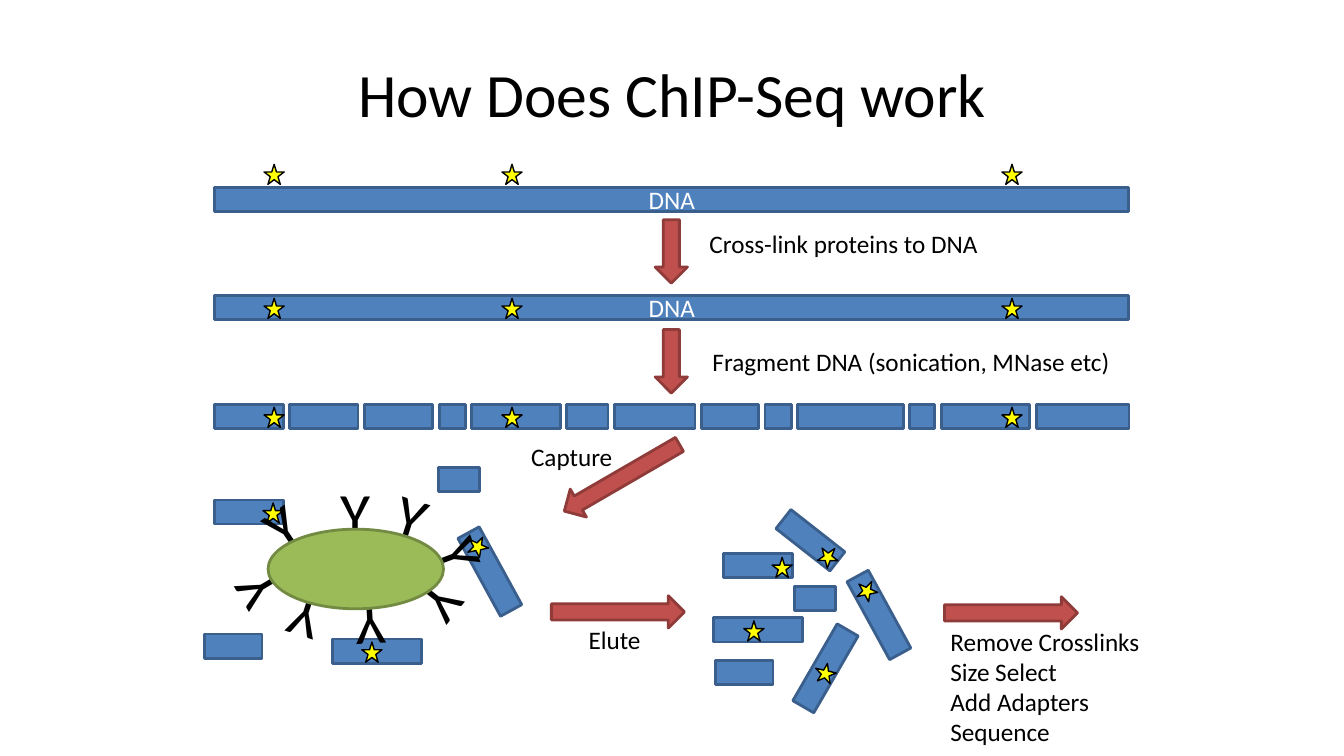
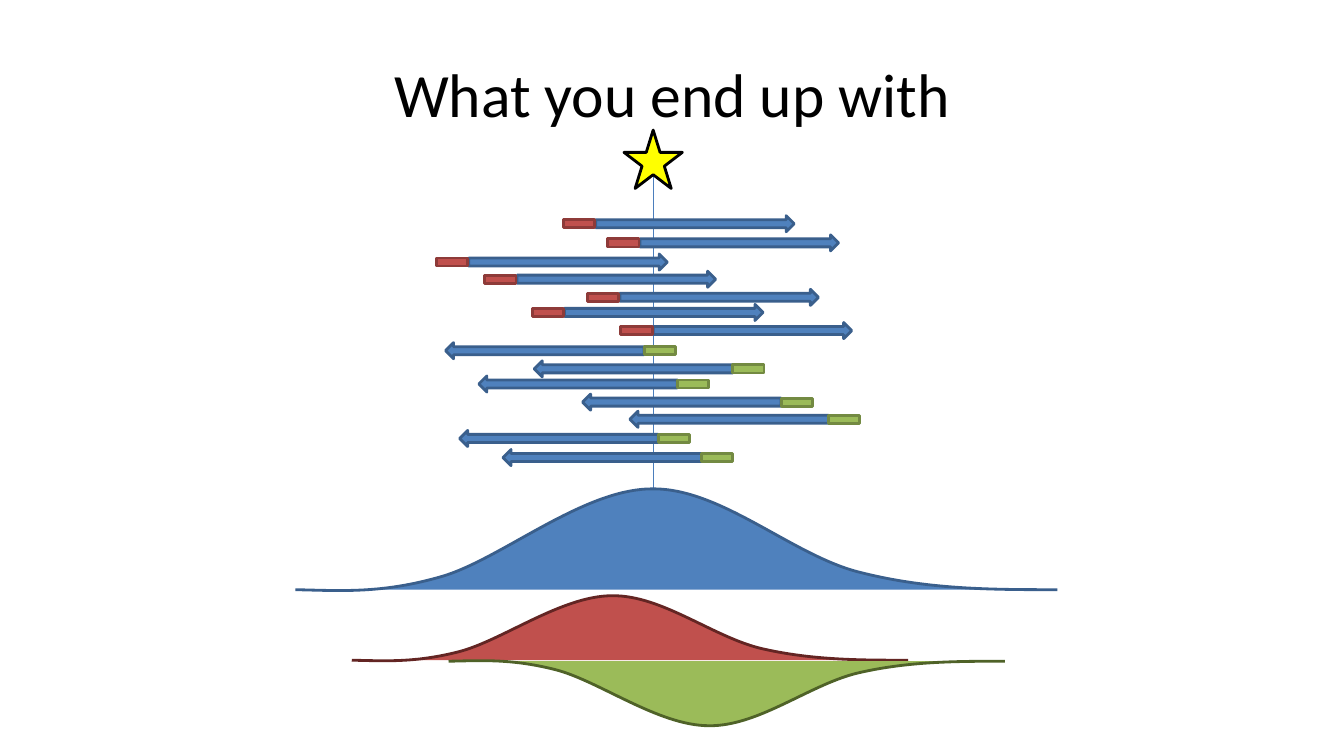
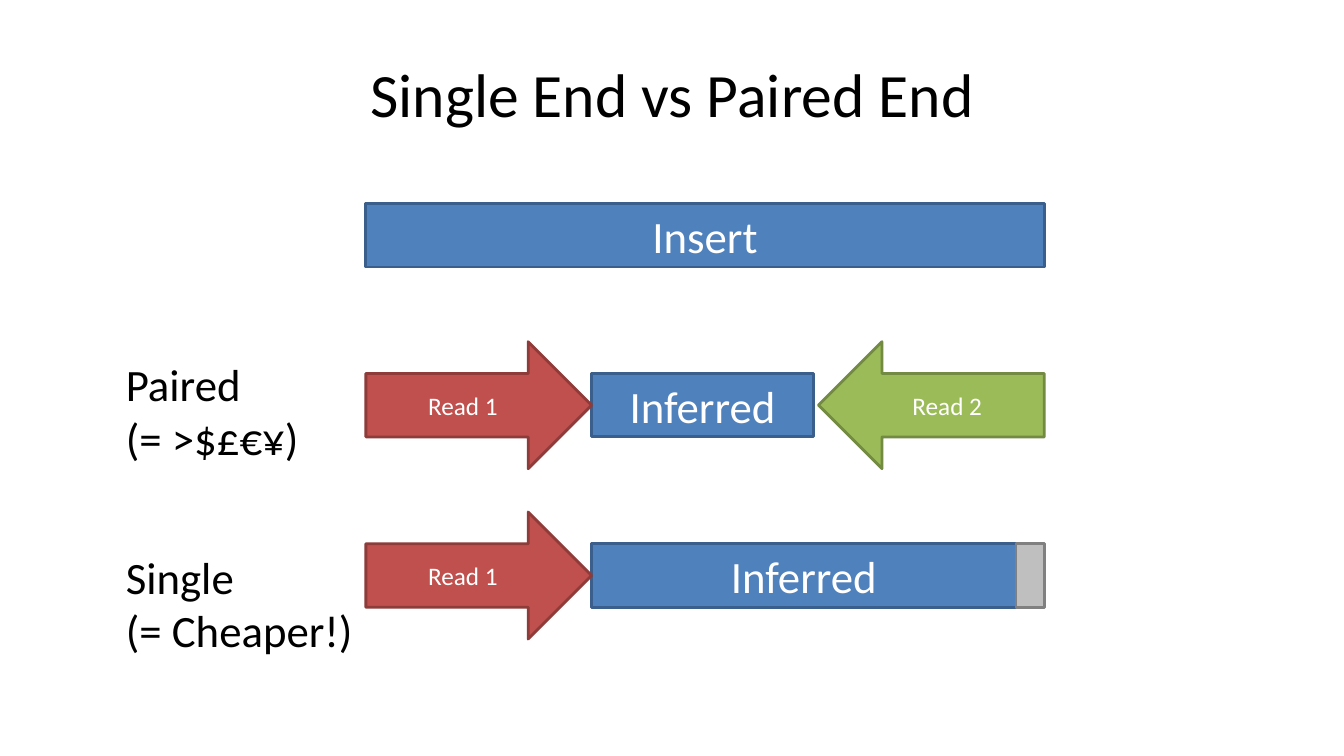
import pptx
import pptx.dml.color
import pptx.enum.shapes
import pptx.enum.text
import pptx.oxml.ns
import pptx.util
from pptx.util import Inches

SHAPE = pptx.enum.shapes.MSO_SHAPE
ALIGN = pptx.enum.text.PP_ALIGN
ANCHOR = pptx.enum.text.MSO_ANCHOR
qn = pptx.oxml.ns.qn

# Shared look: each style is (fill, line)
FONT = "Calibri"
BLUE = ("4F81BD", "3A5F8C")
RED = ("C0504D", "8E3B39")
GREEN = ("9BBB59", "738A42")
GREY = ("BFBFBF", "808080")
YELLOW = ("FFFF00", "000000")
DARK_RED = ("C0504D", "632523")
DARK_GREEN = ("9BBB59", "4F6228")

# How ChIP-Seq works
DNA_LEFT, DNA_WIDTH, DNA_HEIGHT = 2.13, 9.07, 0.24
STAR_SIZE = 0.2
DNA_ROWS = [(1.86, "DNA"), (2.93, "DNA")]
FRAGMENT_TOP = 4.01
FRAGMENT_WIDTHS = [0.68, 0.68, 0.68, 0.26, 0.88, 0.41, 0.8,
                   0.57, 0.26, 1.05, 0.25, 0.88, 0.92]
PROTEIN_LEFTS = [2.62, 4.98, 9.94]
PROTEIN_TOPS = [1.63, 2.96, 4.04]
# left, top, length, rotation
STEP_ARROWS = [(6.5, 2.18, 0.63, 0), (6.5, 3.27, 0.63, 0), (6.01, 4.08, 1.32, 59.9),
               (5.97, 5.41, 1.32, 270), (9.87, 5.42, 1.32, 270)]
STEP_LABELS = [
    (6.94, 2.22, 2.89, 0.4, ["Cross-link proteins to DNA"]),
    (6.97, 3.39, 4.19, 0.4, ["Fragment DNA (sonication, MNase etc)"]),
    (5.17, 4.33, 1.02, 0.4, ["Capture"]),
    (5.74, 6.14, 0.72, 0.4, ["Elute"]),
    (9.33, 6.16, 2.1, 1.31,
     ["Remove Crosslinks", "Size Select", "Add Adapters", "Sequence"]),
]
# left, top, width, rotation, position of the bound protein
CAPTURED = [(3.3, 6.34, 0.88, 0, (3.59, 6.37)), (2.13, 4.96, 0.68, 0, (2.61, 4.99)),
            (4.42, 5.55, 0.88, 241.3, (4.63, 5.33)),
            (4.35, 4.64, 0.41, 0, None), (2.03, 6.29, 0.57, 0, None)]
ELUTED = [(8.28, 5.98, 0.88, 241.3, (8.49, 5.77)), (7.18, 5.49, 0.68, 0, (7.66, 5.53)),
          (7.08, 6.13, 0.88, 0, (7.38, 6.16)), (7.88, 5.82, 0.41, 0, None),
          (7.7, 5.24, 0.68, 38.1, (8.12, 5.42)), (7.1, 6.55, 0.57, 0, None),
          (7.75, 6.51, 0.88, 300, (8.08, 6.58))]
# left, top, rotation
ANTIBODIES = [(3.28, 4.66, 0), (3.84, 4.7, 17.6), (4.33, 5.08, 69.4), (4.15, 5.58, 128.4),
              (3.43, 5.81, 176.9), (2.76, 5.74, 197.8), (2.28, 5.45, 239.4), (2.54, 4.8, 326)]

# Reads around a binding site: left end and top of each
FORWARD_READS = [(5.59, 2.14), (6.03, 2.33), (4.33, 2.52), (4.81, 2.69),
                 (5.83, 2.87), (5.28, 3.02), (6.16, 3.2)]
REVERSE_READS = [(4.42, 3.4), (5.3, 3.58), (4.75, 3.73), (5.78, 3.91),
                 (6.25, 4.08), (4.56, 4.27), (4.99, 4.46)]
TAG_WIDTH, READ_WIDTH, READ_HEIGHT = 0.31, 1.97, 0.16
# Bezier nodes of the coverage peak, measured from its left end, downwards
PEAK = [(0, 0), (0.46, 0.01), (0.86, 0.04), (1.45, -0.13), (2.04, -0.3), (2.85, -1),
        (3.54, -1), (4.23, -1.01), (4.94, -0.33), (5.61, -0.17), (6.28, 0), (6.92, 0), (7.56, 0)]
# left, baseline, horizontal scale, vertical scale, style
PEAKS = [(2.93, 5.85, 1, 1, BLUE), (3.49, 6.55, 0.73, 0.64, DARK_RED),
         (4.45, 6.56, 0.73, -0.64, DARK_GREEN)]

# Single end against paired end
INSERT_LEFT, INSERT_WIDTH, BAR_HEIGHT = 3.63, 6.73, 0.63
READ_ARROW = (2.24, 1.26)
LIBRARIES = [  # arrow top, inferred width, label top, label width, label
    (3.39, 2.2, 3.49, 1.94, ["Paired", "(= >$£€¥)"]),
    (5.08, 4.21, 5.4, 2.48, ["Single", "(= Cheaper!)"]),
]


def rgb(value):
    return pptx.dml.color.RGBColor.from_string(value)


def write(frame, lines, size=18, color="000000", align=ALIGN.LEFT):
    for index, line in enumerate(lines):
        para = frame.paragraphs[0] if index == 0 else frame.add_paragraph()
        para.alignment = align
        span = para.add_run()
        span.text = line
        span.font.name = FONT
        span.font.size = pptx.util.Pt(size)
        span.font.color.rgb = rgb(color)


def paint(shape, style, weight=2):
    shape.shadow.inherit = False
    shape.fill.solid()
    shape.fill.fore_color.rgb = rgb(style[0])
    shape.line.color.rgb = rgb(style[1])
    shape.line.width = pptx.util.Pt(weight)


def add_shape(page, kind, left, top, width, height, style,
              rotation=0, weight=2, text=None, size=18):
    shape = page.shapes.add_shape(kind, *map(Inches, (left, top, width, height)))
    paint(shape, style, weight)
    shape.rotation = rotation
    if text:
        shape.text_frame.vertical_anchor = ANCHOR.MIDDLE
        write(shape.text_frame, [text], size=size, color="FFFFFF", align=ALIGN.CENTER)


def add_label(page, left, top, width, height, lines, size=18, rotation=0):
    box = page.shapes.add_textbox(*map(Inches, (left, top, width, height)))
    box.rotation = rotation
    box.text_frame.word_wrap = False
    box.text_frame.auto_size = pptx.enum.text.MSO_AUTO_SIZE.SHAPE_TO_FIT_TEXT
    write(box.text_frame, lines, size=size)


def add_page(deck, title):
    page = deck.slides.add_slide(deck.slide_layouts[5])
    box = page.shapes.title
    box.left, box.top, box.width, box.height = map(Inches, (0.67, 0.3, 12, 1.25))
    box.text_frame.vertical_anchor = ANCHOR.MIDDLE
    write(box.text_frame, [title], size=44, align=ALIGN.CENTER)
    return page


def add_dna(page, left, top, width, rotation=0, text=None):
    add_shape(page, SHAPE.RECTANGLE, left, top, width, DNA_HEIGHT, BLUE,
              rotation=rotation, text=text)


def add_protein(page, left, top, rotation=0):
    add_shape(page, SHAPE.STAR_5_POINT, left, top, STAR_SIZE, STAR_SIZE, YELLOW,
              rotation=rotation, weight=1)


def add_pieces(page, pieces):
    for left, top, width, rotation, protein in pieces:
        add_dna(page, left, top, width, rotation)
        if protein:
            add_protein(page, *protein, rotation)


def build_workflow(deck):
    page = add_page(deck, "How Does ChIP-Seq work")
    # Whole DNA, then fragments with equal gaps
    for top, text in DNA_ROWS:
        add_dna(page, DNA_LEFT, top, DNA_WIDTH, text=text)
    gap = (DNA_WIDTH - sum(FRAGMENT_WIDTHS)) / (len(FRAGMENT_WIDTHS) - 1)
    left = DNA_LEFT
    for width in FRAGMENT_WIDTHS:
        add_dna(page, left, FRAGMENT_TOP, width)
        left += width + gap
    for top in PROTEIN_TOPS:
        for left in PROTEIN_LEFTS:
            add_protein(page, left, top)
    # Bead with antibodies
    add_pieces(page, CAPTURED)
    for left, top, rotation in ANTIBODIES:
        add_label(page, left, top, 0.5, 0.84, ["Y"], size=44, rotation=rotation)
    add_shape(page, SHAPE.OVAL, 2.66, 5.25, 1.74, 0.79, GREEN)
    add_pieces(page, ELUTED)
    # Steps
    for left, top, length, rotation in STEP_ARROWS:
        add_shape(page, SHAPE.DOWN_ARROW, left, top, 0.32, length, RED, rotation=rotation)
    for label in STEP_LABELS:
        add_label(page, *label)


def add_curve(page, points, style):
    outline = page.shapes.build_freeform(*points[0])
    outline.add_line_segments(points[1:], close=False)
    shape = outline.convert_to_shape()
    paint(shape, style)
    # Every three segments become one Bezier curve
    track = shape._element.find(".//" + qn("a:path"))
    segments = track.findall(qn("a:lnTo"))
    for start in range(0, len(segments), 3):
        curve = track.makeelement(qn("a:cubicBezTo"), {})
        for segment in segments[start:start + 3]:
            curve.append(segment[0])
            track.remove(segment)
        track.append(curve)


def build_reads(deck):
    page = add_page(deck, "What you end up with")
    # Binding site
    site = page.shapes.add_connector(pptx.enum.shapes.MSO_CONNECTOR.STRAIGHT,
                                     *map(Inches, (6.48, 1.47, 6.48, 5.48)))
    site.line.color.rgb = rgb("4B7EBC")
    site.line.width = pptx.util.Pt(0.75)
    properties = site._element.spPr
    properties.append(properties.makeelement(qn("a:effectLst"), {}))
    add_shape(page, SHAPE.STAR_5_POINT, 6.19, 1.29, 0.58, 0.58, YELLOW)
    # Reads: a tag at the sequenced end of each arrow
    for reads, kind, arrow_shift, tag_shift, style in (
            (FORWARD_READS, SHAPE.RIGHT_ARROW, TAG_WIDTH + 0.01, 0, RED),
            (REVERSE_READS, SHAPE.LEFT_ARROW, 0, READ_WIDTH, GREEN)):
        for left, top in reads:
            add_shape(page, kind, left + arrow_shift, top, READ_WIDTH, READ_HEIGHT, BLUE)
            add_shape(page, SHAPE.RECTANGLE, left + tag_shift, top + READ_HEIGHT / 4,
                      TAG_WIDTH, READ_HEIGHT / 2, style)
    # Coverage peaks
    for left, baseline, across, down, style in PEAKS:
        add_curve(page, [(Inches(left + x * across), Inches(baseline + y * down))
                         for x, y in PEAK], style)


def build_ends(deck):
    page = add_page(deck, "Single End vs Paired End")
    arrow_width, arrow_height = READ_ARROW
    insert_right = INSERT_LEFT + INSERT_WIDTH
    inferred_left = INSERT_LEFT + arrow_width
    add_shape(page, SHAPE.RECTANGLE, INSERT_LEFT, 2.02, INSERT_WIDTH, BAR_HEIGHT, BLUE,
              text="Insert", size=32)
    for top, width, label_top, label_width, label in LIBRARIES:
        bar_top = top + (arrow_height - BAR_HEIGHT) / 2
        add_shape(page, SHAPE.RECTANGLE, inferred_left, bar_top, width, BAR_HEIGHT, BLUE,
                  text="Inferred", size=32)
        add_shape(page, SHAPE.RIGHT_ARROW, INSERT_LEFT, top, arrow_width, arrow_height, RED,
                  text="Read 1")
        add_label(page, 1.15, label_top, label_width, 1.18, label, size=32)
    # Far end: second read when paired, unknown when single
    paired_top = LIBRARIES[0][0]
    add_shape(page, SHAPE.LEFT_ARROW, insert_right - arrow_width, paired_top,
              arrow_width, arrow_height, GREEN, text="Read 2")
    unknown_left = inferred_left + width
    add_shape(page, SHAPE.RECTANGLE, unknown_left, bar_top,
              insert_right - unknown_left, BAR_HEIGHT, GREY)


def main():
    deck = pptx.Presentation()
    deck.slide_width, deck.slide_height = Inches(40 / 3), Inches(7.5)
    build_workflow(deck)
    build_reads(deck)
    build_ends(deck)
    deck.save("out.pptx")


if __name__ == "__main__":
    main()
